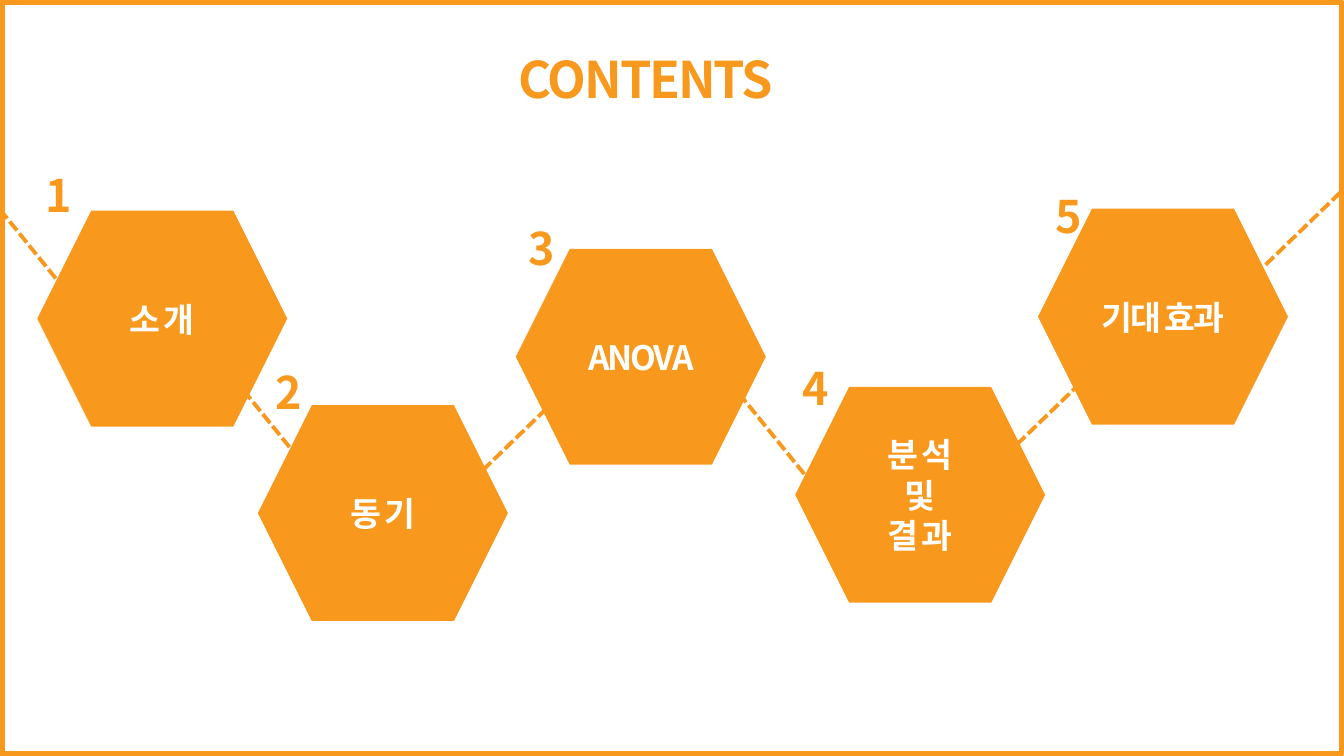
import dataclasses

import lxml.etree
import pptx
import pptx.dml.color
import pptx.enum.dml
import pptx.enum.shapes
import pptx.enum.text
import pptx.oxml.ns
import pptx.util

Cm = pptx.util.Cm
COLORS = {"orange": "F8981D", "white": "FFFFFF"}
FONT = "Noto Sans CJK KR"
HEXAGON_WIDTH, HEXAGON_HEIGHT = 6.3, 5.44
LABEL_WIDTH, LABEL_LINE, LABEL_PADDING = 4.83, 1.02, 0.25
DESCENT, ASCENT = (2.39, 2.95), (3.07, -2.97)


@dataclasses.dataclass(frozen=True)
class Topic:
    label: str
    left: float
    top: float
    number_left: float
    number_top: float


@dataclasses.dataclass(frozen=True)
class Link:
    left: float
    top: float
    run: tuple[float, float]


TOPICS = [
    Topic("소 개", 0.94, 5.31, 0.56, 4.11),
    Topic("동 기", 6.5, 10.21, 6.35, 9.07),
    Topic("ANOVA", 13.0, 6.27, 12.73, 5.44),
    Topic("분 석\n및\n결 과", 20.04, 9.75, 19.63, 8.97),
    Topic("기대 효과", 26.16, 5.26, 26.01, 4.62),
]
LINKS = [
    Link(0, 5.28, DESCENT),
    Link(5.89, 9.53, DESCENT),
    Link(11.05, 12.93, ASCENT),
    Link(18.62, 9.91, DESCENT),
    Link(24.79, 12.01, ASCENT),
    Link(30.78, 7.75, ASCENT),
]


def rgb(color: str) -> pptx.dml.color.RGBColor:
    return pptx.dml.color.RGBColor.from_string(COLORS[color])


def add_text(slide, text: str, left: float, top: float, width: float,
             height: float, size: int, color: str) -> None:
    box = slide.shapes.add_textbox(Cm(left), Cm(top), Cm(width), Cm(height))
    frame = box.text_frame
    frame.word_wrap = True
    frame.text = text
    for paragraph in frame.paragraphs:
        paragraph.alignment = pptx.enum.text.PP_ALIGN.CENTER
        for run in paragraph.runs:
            run.font.name = FONT
            run.font.size = pptx.util.Pt(size)
            run.font.bold = True
            run.font.color.rgb = rgb(color)
            properties = run.font._element
            properties.set("spc", "-150")
            east_asian = lxml.etree.SubElement(properties, pptx.oxml.ns.qn("a:ea"))
            east_asian.set("typeface", FONT)


def add_hexagon(slide, topic: Topic) -> None:
    hexagon = slide.shapes.add_shape(
        pptx.enum.shapes.MSO_SHAPE.HEXAGON, Cm(topic.left), Cm(topic.top),
        Cm(HEXAGON_WIDTH), Cm(HEXAGON_HEIGHT))
    hexagon.shadow.inherit = False
    hexagon.fill.solid()
    hexagon.fill.fore_color.rgb = rgb("orange")
    hexagon.line.fill.background()


def add_link(slide, link: Link) -> None:
    across, down = link.run
    connector = slide.shapes.add_connector(
        pptx.enum.shapes.MSO_CONNECTOR.STRAIGHT, Cm(link.left), Cm(link.top),
        Cm(link.left + across), Cm(link.top + down))
    connector.line.color.rgb = rgb("orange")
    connector.line.width = pptx.util.Pt(2.75)
    connector.line.dash_style = pptx.enum.dml.MSO_LINE.SQUARE_DOT
    lxml.etree.SubElement(connector._element.spPr, pptx.oxml.ns.qn("a:effectLst"))


def add_topic_text(slide, number: int, topic: Topic) -> None:
    """Centre the label in its hexagon and set the number at the upper left."""
    lines = topic.label.count("\n") + 1
    height = LABEL_PADDING + LABEL_LINE * lines
    add_text(slide, topic.label,
             topic.left + (HEXAGON_WIDTH - LABEL_WIDTH) / 2,
             topic.top + (HEXAGON_HEIGHT - height) / 2,
             LABEL_WIDTH, height, 24, "white")
    add_text(slide, str(number), topic.number_left, topic.number_top,
             1.85, 1.63, 32, "orange")


def add_border(slide) -> None:
    border = slide.shapes.add_shape(
        pptx.enum.shapes.MSO_SHAPE.RECTANGLE, Cm(0.05), Cm(0.05),
        Cm(33.76), Cm(18.95))
    border.shadow.inherit = False
    border.fill.background()
    border.line.color.rgb = rgb("orange")
    border.line.width = pptx.util.Pt(3.75)


def main() -> None:
    presentation = pptx.Presentation()
    presentation.slide_width = Cm(33.87)
    presentation.slide_height = Cm(19.05)
    slide = presentation.slides.add_slide(presentation.slide_layouts[6])
    for topic in TOPICS:
        add_hexagon(slide, topic)
    for link in LINKS:
        add_link(slide, link)
    add_text(slide, "CONTENTS", 12.29, 1.09, 7.98, 1.8, 36, "orange")
    for number, topic in enumerate(TOPICS, start=1):
        add_topic_text(slide, number, topic)
    add_border(slide)
    presentation.save("out.pptx")


if __name__ == "__main__":
    main()
